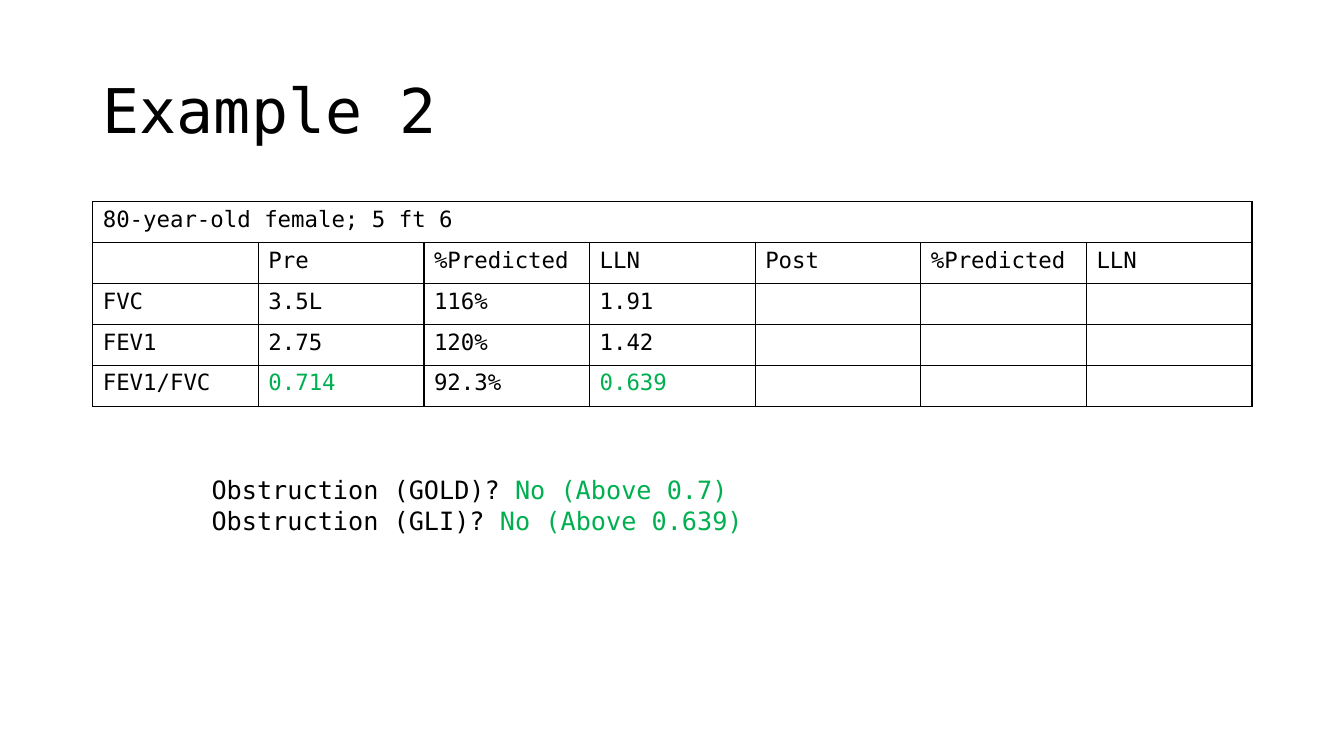
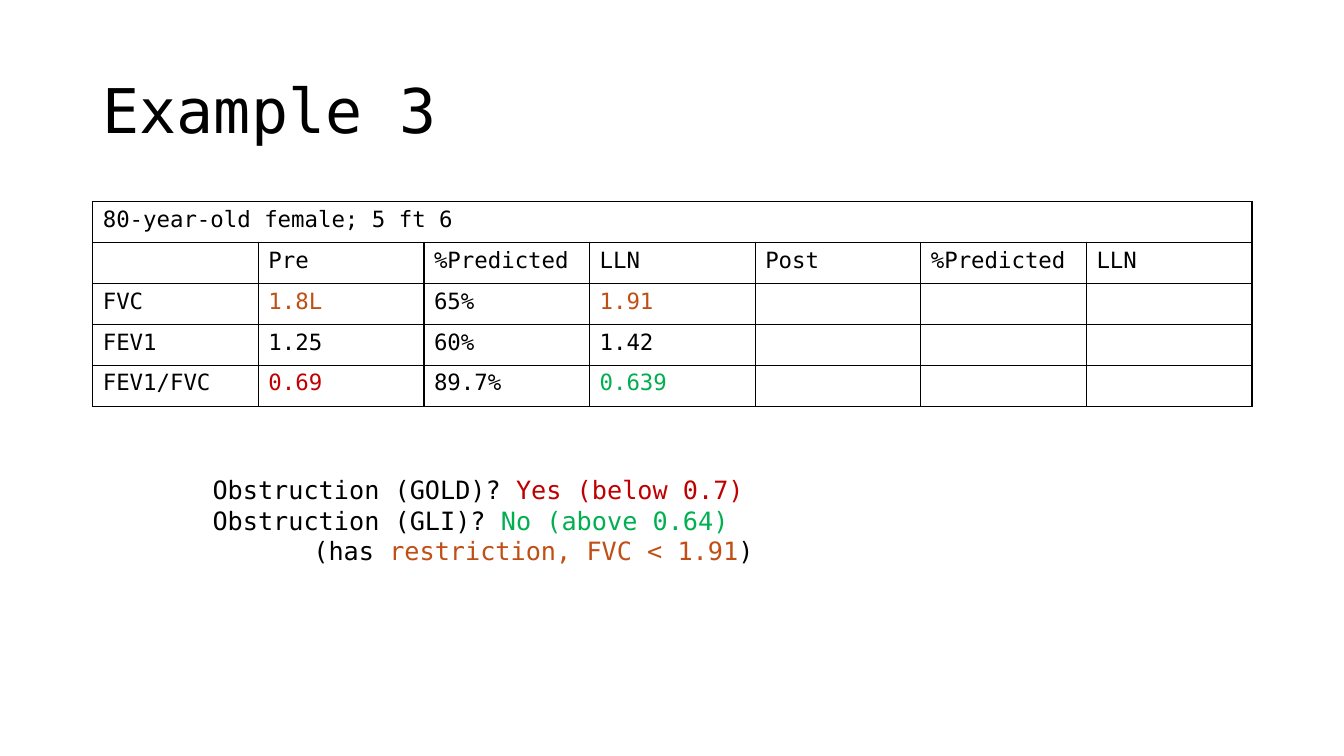
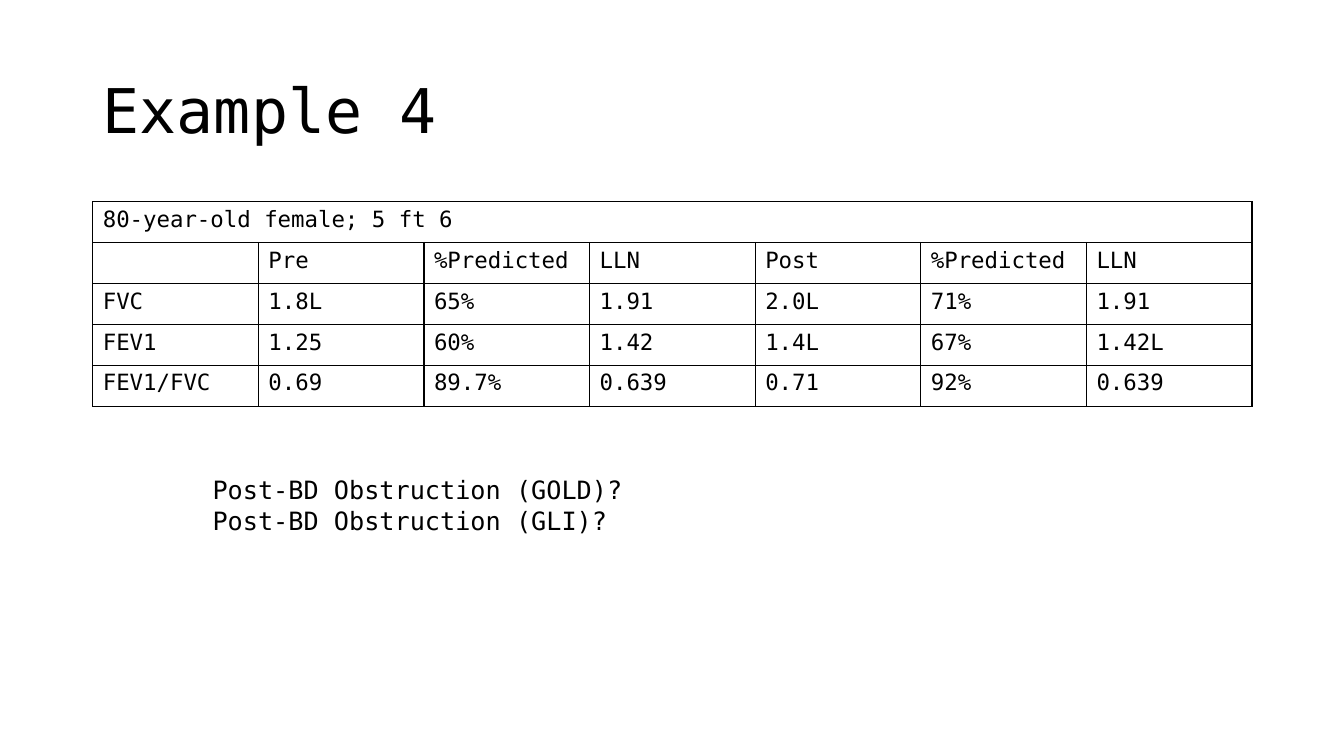
import pptx
import pptx.dml.color
import pptx.enum.text
import pptx.oxml
import pptx.oxml.ns
import pptx.util

Inches = pptx.util.Inches
Pt = pptx.util.Pt
Anchor = pptx.enum.text.MSO_ANCHOR

FONT = "DejaVu Sans Mono"
INKS = {"black": "000000", "green": "00B050", "red": "C00000", "rust": "C04F15"}
PATIENT = "80-year-old female; 5 ft 6"
HEADS = ["", "Pre", "%Predicted", "LLN", "Post", "%Predicted", "LLN"]
NAMES = ["FVC", "FEV1", "FEV1/FVC"]

CASES = [
    {
        "title": "Example 2",
        "rows": [
            ["3.5L", "116%", "1.91"],
            ["2.75", "120%", "1.42"],
            [("0.714", "green"), "92.3%", ("0.639", "green")],
        ],
        "left": 2,
        "notes": [
            ["Obstruction (GOLD)? ", ("No (Above 0.7)", "green")],
            ["Obstruction (GLI)? ", ("No (Above 0.639)", "green")],
        ],
    },
    {
        "title": "Example 3",
        "rows": [
            [("1.8L", "rust"), "65%", ("1.91", "rust")],
            ["1.25", "60%", "1.42"],
            [("0.69", "red"), "89.7%", ("0.639", "green")],
        ],
        "left": 2.01,
        "notes": [
            ["Obstruction (GOLD)? ", ("Yes (below 0.7)", "red")],
            ["Obstruction (GLI)? ", ("No (above 0.64)", "green")],
            ["(has ", ("restriction, FVC < 1.91", "rust"), ")"],
        ],
        "inset": {2: 1},
    },
    {
        "title": "Example 4",
        "rows": [
            ["1.8L", "65%", "1.91", "2.0L", "71%", "1.91"],
            ["1.25", "60%", "1.42", "1.4L", "67%", "1.42L"],
            ["0.69", "89.7%", "0.639", "0.71", "92%", "0.639"],
        ],
        "left": 2.01,
        "notes": [["Post-BD Obstruction (GOLD)?"], ["Post-BD Obstruction (GLI)?"]],
    },
]


def write(frame, lines, size, space=None, inset=None):
    for i, line in enumerate(lines):
        para = frame.paragraphs[0] if i == 0 else frame.add_paragraph()
        if space:
            para.line_spacing = space
        if inset and i in inset:
            para._p.get_or_add_pPr().set("marL", str(Inches(inset[i])))
        for part in line:
            text, ink = part if isinstance(part, tuple) else (part, "black")
            run = para.add_run()
            run.text = text
            run.font.name = FONT
            run.font.size = Pt(size)
            run.font.color.rgb = pptx.dml.color.RGBColor.from_string(INKS[ink])


def add_box(slide, left, top, width, height, lines, size, anchor=Anchor.TOP, **style):
    box = slide.shapes.add_textbox(*map(Inches, (left, top, width, height)))
    frame = box.text_frame
    frame.word_wrap = True
    frame.vertical_anchor = anchor
    write(frame, lines, size, **style)


def rule_cell(cell):
    props = cell._tc.get_or_add_tcPr()
    for side in "LRTB":
        props.append(pptx.oxml.parse_xml(
            f'<a:ln{side} {pptx.oxml.ns.nsdecls("a")} w="{Pt(1)}"><a:solidFill>'
            f'<a:srgbClr val="{INKS["black"]}"/></a:solidFill></a:ln{side}>'))
    cell.fill.background()


def add_grid(slide, rows):
    body = [[name] + row for name, row in zip(NAMES, rows)]
    cells = [[PATIENT], HEADS] + body
    table = slide.shapes.add_table(
        len(cells), len(HEADS), *map(Inches, (0.92, 2, 11.5, 2.03))).table
    table.first_row = table.horz_banding = False
    for cell in table.iter_cells():
        rule_cell(cell)
    table.cell(0, 0).merge(table.cell(0, len(HEADS) - 1))
    for r, row in enumerate(cells):
        for c, item in enumerate(row):
            if item:
                write(table.cell(r, c).text_frame, [[item]], 16)


def main():
    deck = pptx.Presentation()
    deck.slide_width, deck.slide_height = Inches(13.33), Inches(7.5)
    for case in CASES:
        slide = deck.slides.add_slide(deck.slide_layouts[6])
        add_box(slide, 0.92, 0.4, 11.5, 1.45, [[case["title"]]], 44,
                anchor=Anchor.MIDDLE, space=0.9)
        add_grid(slide, case["rows"])
        notes = case["notes"]
        add_box(slide, case["left"], 4.66, 6.46, 0.1 + 0.3 * len(notes), notes, 18,
                inset=case.get("inset"))
    deck.save("out.pptx")


if __name__ == "__main__":
    main()
